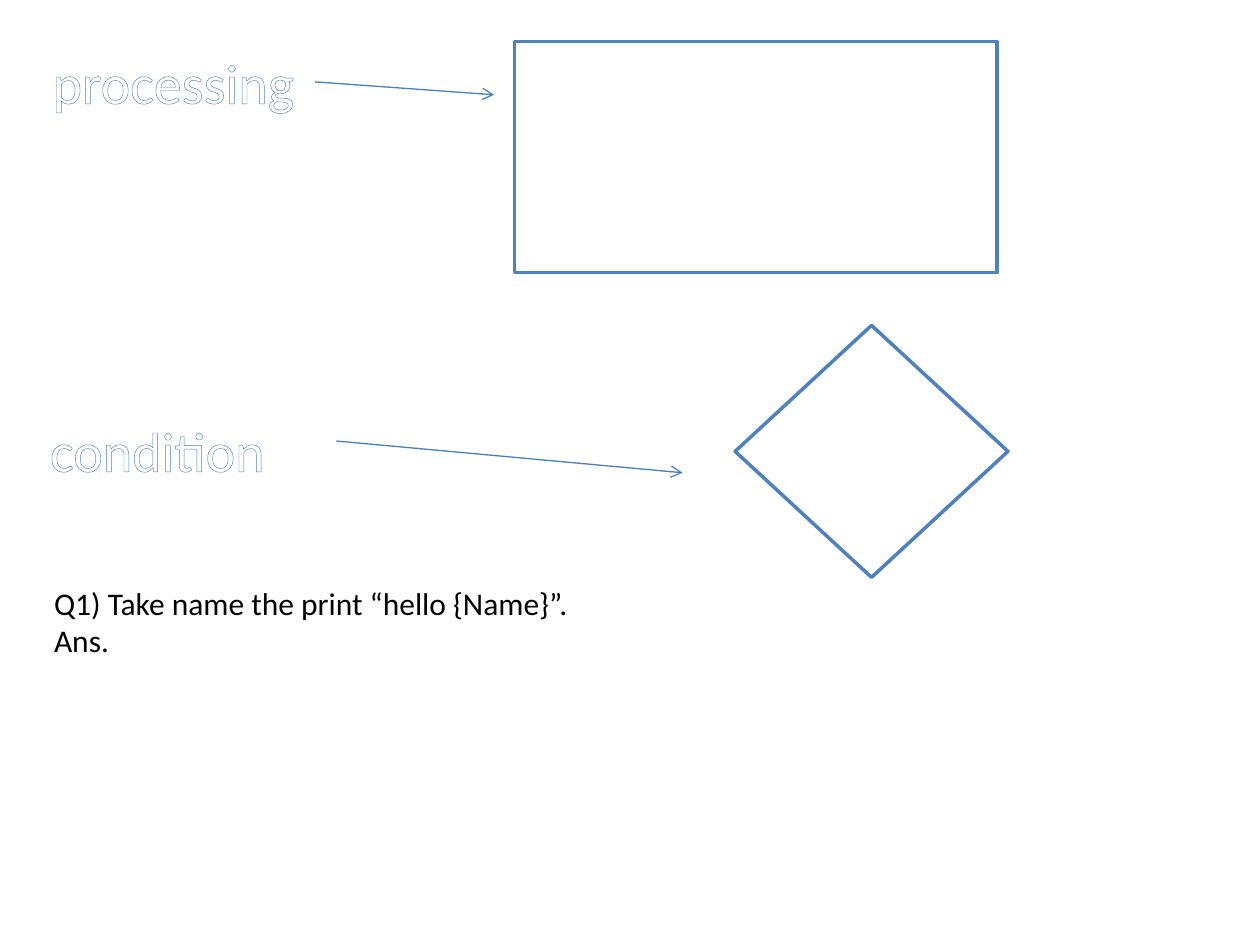
from dataclasses import dataclass

from lxml.etree import SubElement
from pptx import Presentation
from pptx.dml.color import RGBColor
from pptx.enum.shapes import MSO_CONNECTOR as Connector, MSO_SHAPE as Shape
from pptx.enum.text import MSO_AUTO_SIZE as AutoSize, PP_ALIGN as Align
from pptx.oxml import parse_xml
from pptx.oxml.ns import nsdecls, qn
from pptx.util import Cm, Pt


@dataclass(frozen=True)
class Theme:
    font: str = "Calibri"
    white: str = "FFFFFF"
    black: str = "000000"
    blue: str = "4F81BD"
    arrow: str = "4B7EBC"
    label_size: int = 32
    body_size: int = 18
    label_outline: float = 0.8
    shape_line: float = 2
    arrow_line: float = 0.75


theme = Theme()

symbols = [
    {
        "label": "processing", "label_at": (0.64, 0.84, 5.72, 1.63),
        "shape": Shape.RECTANGLE, "shape_at": (10.37, 0.84, 9.73, 4.66),
        "arrow": (6.35, 1.65, 9.96, 1.91),
    },
    {
        "label": "condition", "label_at": (0, 8.26, 6.35, 1.63),
        "shape": Shape.DIAMOND, "shape_at": (14.82, 6.56, 5.5, 5.08),
        "arrow": (6.78, 8.89, 13.76, 9.53),
    },
]
question = ["Q1) Take name the print “hello {Name}”.", "Ans."]
question_at = (0.84, 11.64, 15.24, 1.8)


def lengths(values):
    return [Cm(value) for value in values]


def style_font(font, size, color):
    font.name = theme.font
    font.size = Pt(size)
    font.color.rgb = RGBColor.from_string(color)


def add_text(page, at, lines, size, color, align, outline=None):
    box = page.shapes.add_textbox(*lengths(at))
    frame = box.text_frame
    frame.word_wrap = True
    frame.auto_size = AutoSize.SHAPE_TO_FIT_TEXT
    frame.text = "\n".join(lines)
    for para in frame.paragraphs:
        para.alignment = align
        style_font(para.font, size, color)
        if outline:
            for span in para.runs:
                style_font(span.font, size, color)
                line = parse_xml(
                    f'<a:ln {nsdecls("a")} w="{Pt(theme.label_outline)}">'
                    f'<a:solidFill><a:srgbClr val="{outline}"/></a:solidFill></a:ln>'
                )
                span._r.get_or_add_rPr().insert(0, line)


def add_symbol(page, kind, at):
    shape = page.shapes.add_shape(kind, *lengths(at))
    shape.shadow.inherit = False
    shape.fill.solid()
    shape.fill.fore_color.rgb = RGBColor.from_string(theme.white)
    shape.line.color.rgb = RGBColor.from_string(theme.blue)
    shape.line.width = Pt(theme.shape_line)


def add_arrow(page, ends):
    arrow = page.shapes.add_connector(Connector.STRAIGHT, *lengths(ends))
    arrow.line.color.rgb = RGBColor.from_string(theme.arrow)
    arrow.line.width = Pt(theme.arrow_line)
    properties = arrow._element.spPr
    SubElement(properties.find(qn("a:ln")), qn("a:tailEnd"), type="arrow")
    SubElement(properties, qn("a:effectLst"))


deck = Presentation()
deck.slide_width, deck.slide_height = Cm(25.4), Cm(19.05)
page = deck.slides.add_slide(deck.slide_layouts[6])

for symbol in symbols:
    add_text(page, symbol["label_at"], [symbol["label"]],
             theme.label_size, theme.white, Align.CENTER, theme.blue)
    add_symbol(page, symbol["shape"], symbol["shape_at"])
    add_arrow(page, symbol["arrow"])

add_text(page, question_at, question, theme.body_size, theme.black, Align.LEFT)

deck.save("out.pptx")
